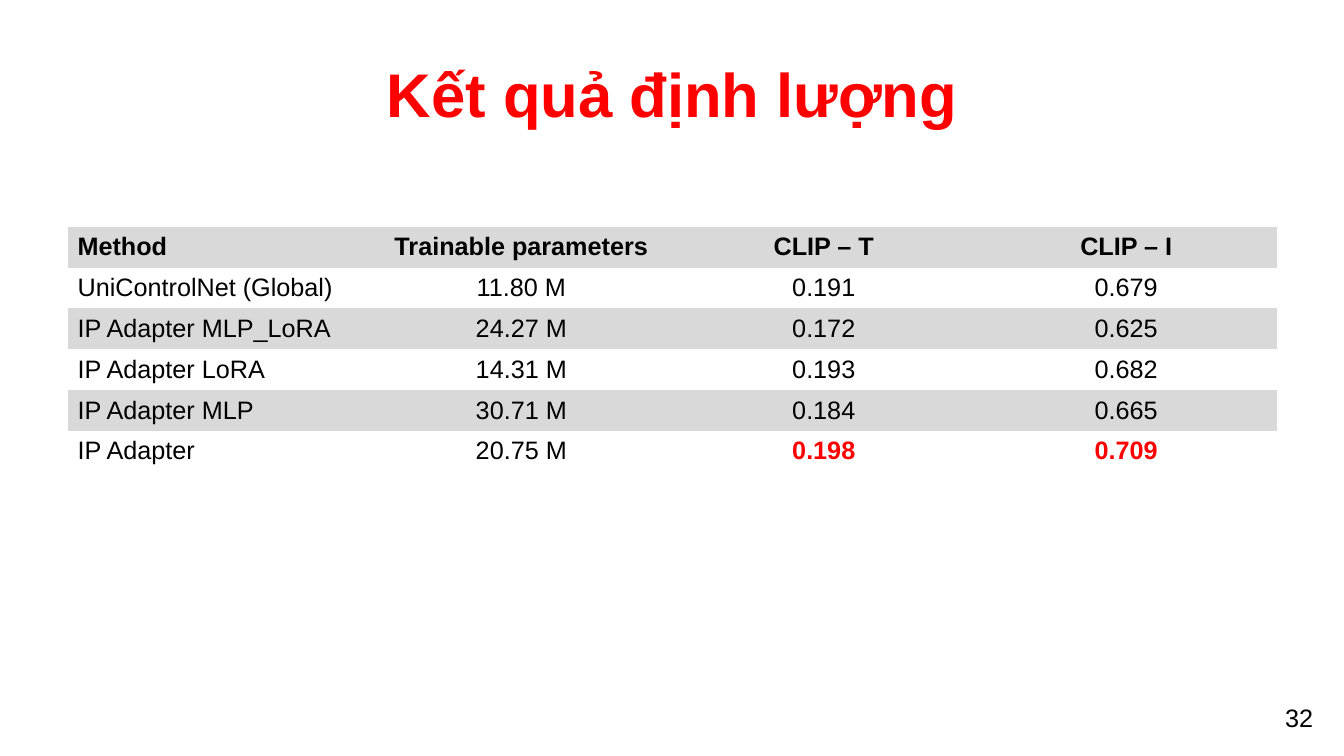
from pptx import Presentation, util as u
from pptx.dml.color import RGBColor
from pptx.enum import text
from pptx.oxml.ns import qn

PX = u.Inches(1) // 100
FONT = "Arial"
COLORS = {"ink": "000000", "accent": "FF0000", "band": "D9D9D9"}
NO_GRID_STYLE = "{2D5ABB26-0587-4C30-8999-92F81FD0307C}"
RESULTS = [
    ("Method", "Trainable parameters", "CLIP – T", "CLIP – I"),
    ("UniControlNet (Global)", "11.80 M", "0.191", "0.679"),
    ("IP Adapter MLP_LoRA", "24.27 M", "0.172", "0.625"),
    ("IP Adapter LoRA", "14.31 M", "0.193", "0.682"),
    ("IP Adapter MLP", "30.71 M", "0.184", "0.665"),
    ("IP Adapter", "20.75 M", "0.198", "0.709"),
]
BEST_SCORES = {"0.198", "0.709"}


def scale(box):
    """Turn a box in px into EMU."""
    return [length * PX for length in box]


def style_paragraph(paragraph, size, color="ink", bold=False, centered=True):
    """Set the font and alignment of a paragraph."""
    paragraph.alignment = text.PP_ALIGN.CENTER if centered else text.PP_ALIGN.LEFT
    paragraph.font.name = FONT
    paragraph.font.size = u.Pt(size)
    paragraph.font.bold = bold
    paragraph.font.color.rgb = RGBColor.from_string(COLORS[color])


def add_label(slide, box, content, size, anchor=text.MSO_ANCHOR.TOP, **style):
    """Place one line of text in the box."""
    frame = slide.shapes.add_textbox(*scale(box)).text_frame
    frame.word_wrap = True
    frame.vertical_anchor = anchor
    frame.text = content
    style_paragraph(frame.paragraphs[0], size, **style)


def add_results_table(slide, box):
    """Fill the box with the banded table of results."""
    shape = slide.shapes.add_table(len(RESULTS), len(RESULTS[0]), *scale(box))
    table = shape.table
    shape._element.find(".//" + qn("a:tableStyleId")).text = NO_GRID_STYLE
    for row, values in enumerate(RESULTS):
        for column, value in enumerate(values):
            cell = table.cell(row, column)
            cell.text = value
            cell.vertical_anchor = text.MSO_ANCHOR.MIDDLE
            if row % 2 == 0:
                cell.fill.solid()
                cell.fill.fore_color.rgb = RGBColor.from_string(COLORS["band"])
            else:
                cell.fill.background()
            best = value in BEST_SCORES
            style_paragraph(cell.text_frame.paragraphs[0], 18,
                            color="accent" if best else "ink",
                            bold=best or row == 0, centered=column > 0)


def build_results_slide(presentation):
    """Add the slide with its page number, title and table."""
    slide = presentation.slides.add_slide(presentation.slide_layouts[6])
    add_label(slide, (1244, 692, 89, 40), "32", 18)
    add_label(slide, (67, 30, 1200, 125), "Kết quả định lượng", 44,
              anchor=text.MSO_ANCHOR.MIDDLE, color="accent", bold=True)
    add_results_table(slide, (67, 225, 1200, 243))


def main():
    """Build and save the presentation."""
    presentation = Presentation()
    presentation.slide_width, presentation.slide_height = scale((1333, 750))
    build_results_slide(presentation)
    presentation.save("out.pptx")


if __name__ == "__main__":
    main()
